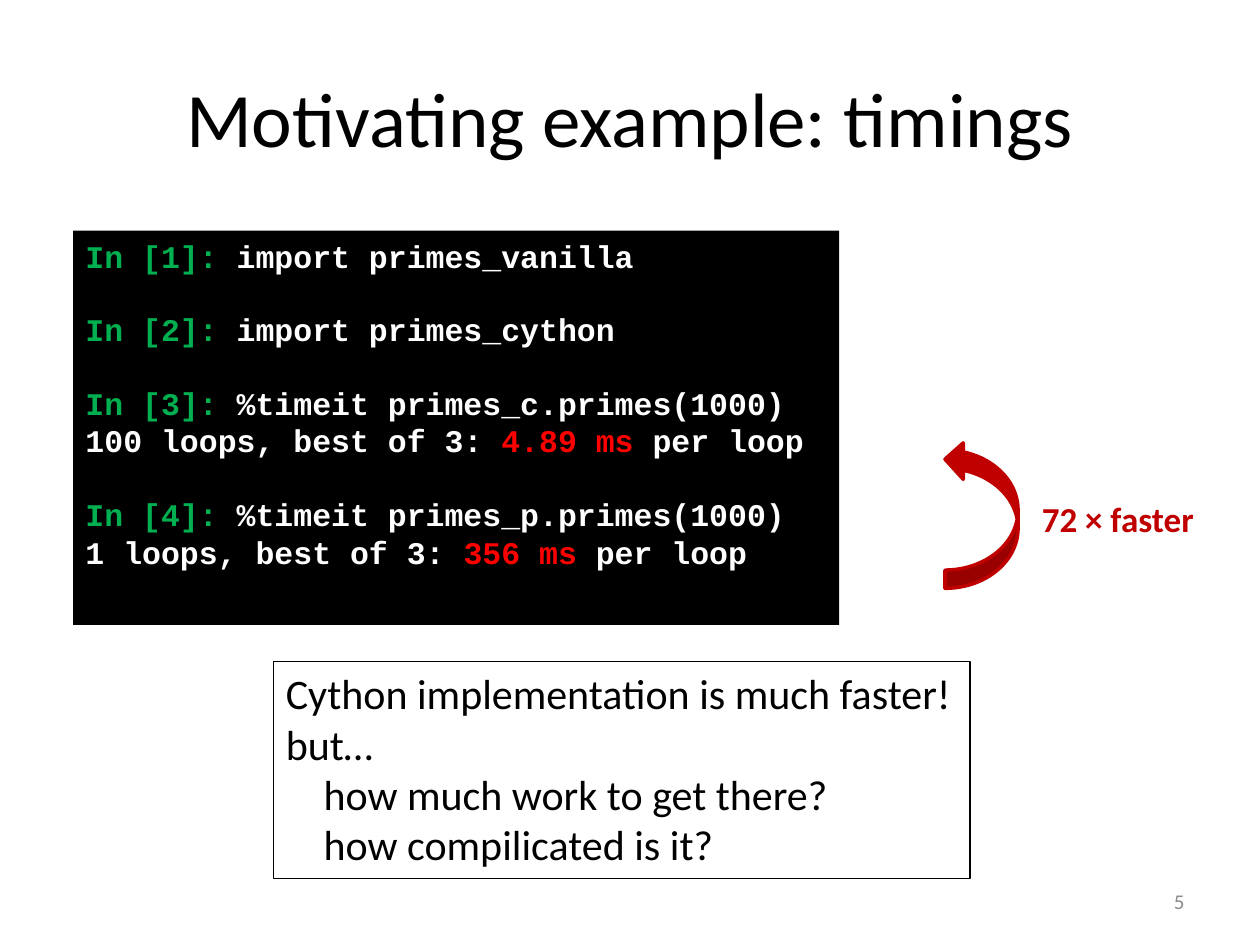
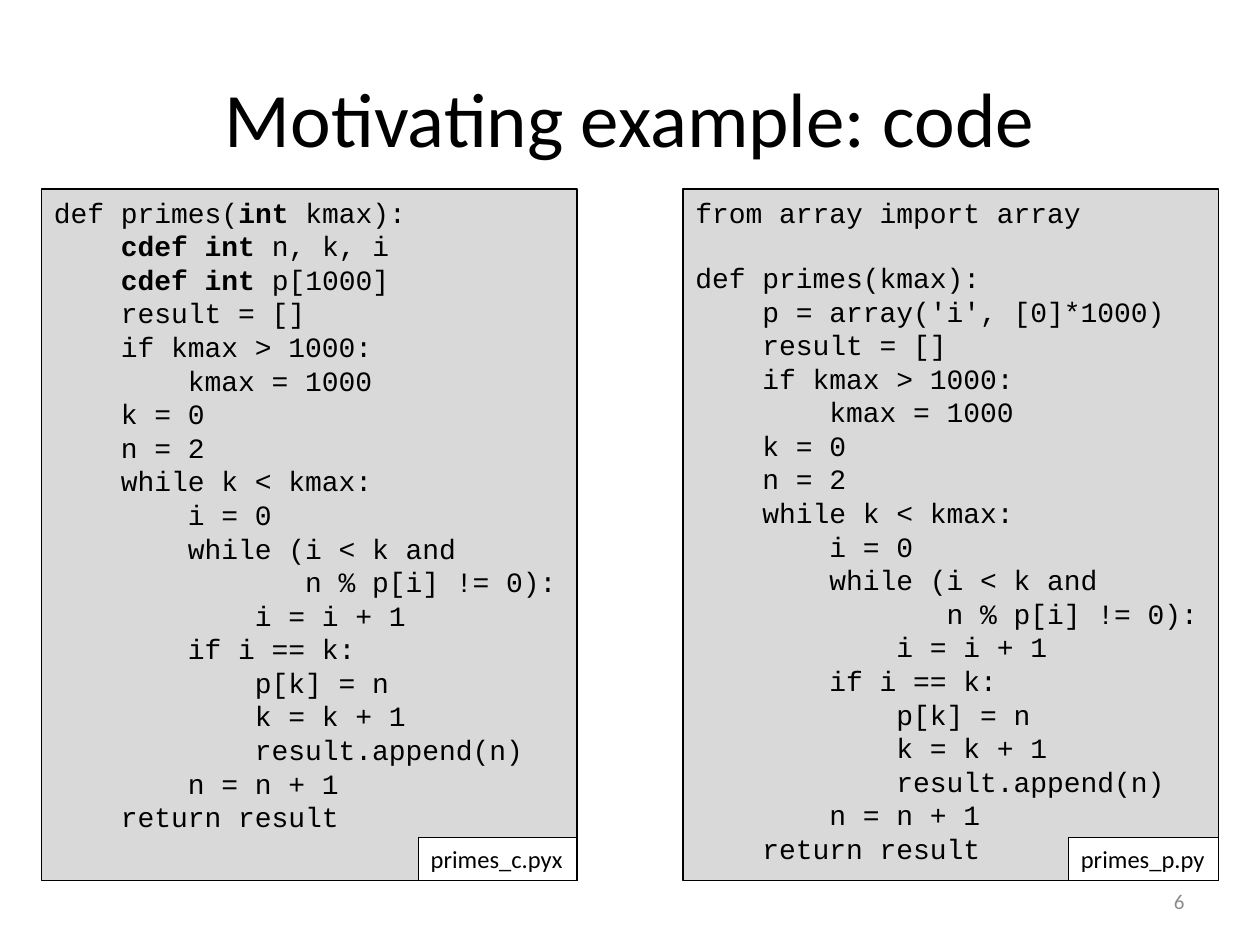
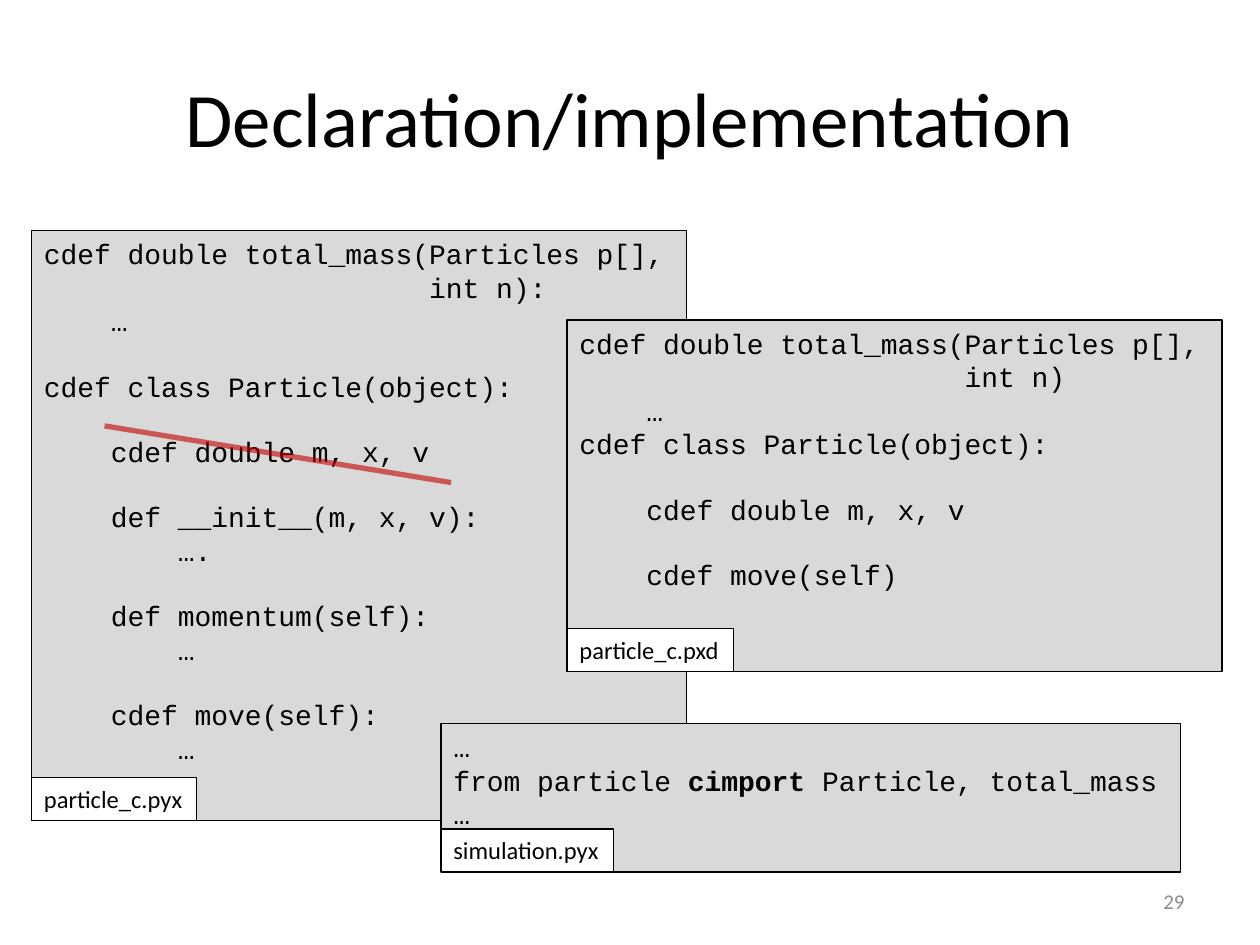
from dataclasses import dataclass
from typing import NamedTuple, Optional

from lxml import etree
from pptx import Presentation
from pptx.dml.color import RGBColor
from pptx.enum.shapes import MSO_CONNECTOR, MSO_SHAPE
from pptx.enum.text import MSO_ANCHOR as Anchor, PP_ALIGN as Align
from pptx.oxml.ns import qn
from pptx.util import Inches, Pt

BLACK = RGBColor(0x00, 0x00, 0x00)
WHITE = RGBColor(0xFF, 0xFF, 0xFF)
CODE_GREY = RGBColor(0xD9, 0xD9, 0xD9)
NUMBER_GREY = RGBColor(0x8C, 0x8C, 0x8C)
PROMPT_GREEN = RGBColor(0x00, 0xB0, 0x50)
TIMING_RED = RGBColor(0xFF, 0x00, 0x00)
DARK_RED = RGBColor(0xC0, 0x00, 0x00)

SANS = "Calibri"
MONO = "Courier New"
MONO_LINE = 1.133  # line height of the code font, in ems
TAB_HEIGHT = 0.34


class Box(NamedTuple):
    left: float
    top: float
    width: float
    height: float


class Style(NamedTuple):
    size: float
    font: str = SANS
    color: RGBColor = BLACK
    bold: bool = False
    align: Align = Align.LEFT
    anchor: Anchor = Anchor.TOP


class Run(NamedTuple):
    text: str
    color: Optional[RGBColor] = None
    bold: bool = False


@dataclass
class CodePanel:
    box: Box
    code: str
    file_name: str
    tab_width: float
    tab_on_right: bool = False


TITLE = Style(44, align=Align.CENTER, anchor=Anchor.MIDDLE)
NUMBER = Style(12, color=NUMBER_GREY, align=Align.RIGHT, anchor=Anchor.MIDDLE)
CODE = Style(16, MONO)
CONSOLE = Style(18, MONO, WHITE, bold=True)
FILE_TAB = Style(14)
CONCLUSION = Style(24)
SPEEDUP = Style(20, color=DARK_RED, bold=True)

CONSOLE_LINES = [
    [Run("In [1]:", PROMPT_GREEN), Run(" import primes_vanilla")],
    [],
    [Run("In [2]:", PROMPT_GREEN), Run(" import primes_cython")],
    [],
    [Run("In [3]:", PROMPT_GREEN), Run(" %timeit primes_c.primes(1000)")],
    [Run("100 loops, best of 3: "), Run("4.89 ms", TIMING_RED), Run(" per loop")],
    [],
    [Run("In [4]:", PROMPT_GREEN), Run(" %timeit primes_p.primes(1000)")],
    [Run("1 loops, best of 3: "), Run("356 ms", TIMING_RED), Run(" per loop")],
]

PRIMES_BODY = """\
    result = []
    if kmax > 1000:
        kmax = 1000
    k = 0
    n = 2
    while k < kmax:
        i = 0
        while (i < k and
               n % p[i] != 0):
            i = i + 1
        if i == k:
            p[k] = n
            k = k + 1
            result.append(n)
        n = n + 1
    return result"""

PRIMES_CYTHON = """\
def primes(**int **kmax):
    **cdef int** n, k, i
    **cdef int** p[1000]
""" + PRIMES_BODY

PRIMES_PYTHON = """\
from array import array

def primes(kmax):
    p = array('i', [0]*1000)
""" + PRIMES_BODY

PARTICLE_IMPLEMENTATION = """\
cdef double total_mass(Particles p[],
                       int n):
    …

cdef class Particle(object):

    cdef double m, x, v

    def __init__(m, x, v):
        ….

    def momentum(self):
        …

    cdef move(self):
        …"""

PARTICLE_DECLARATION = """\
cdef double total_mass(Particles p[],
                       int n)
    …
cdef class Particle(object):

    cdef double m, x, v

    cdef move(self)"""

SIMULATION = """\
…
from particle **cimport** Particle, total_mass
…"""


def code_lines(code: str) -> list[list[Run]]:
    """Split code into runs; text between double asterisks is bold."""
    return [[Run(text, bold=i % 2 == 1)
             for i, text in enumerate(line.split("**")) if text]
            for line in code.split("\n")]


def add_text(shapes, box: Box, lines: list[list[Run]], style: Style,
             fill: Optional[RGBColor] = None, outlined: bool = False):
    """Add a text box; an empty line becomes space before the next one."""
    sp = shapes.add_textbox(*map(Inches, box))
    if fill is not None:
        sp.fill.solid()
        sp.fill.fore_color.rgb = fill
    if outlined:
        sp.line.color.rgb = BLACK
        sp.line.width = Pt(0.75)
    tf = sp.text_frame
    tf.word_wrap = True
    tf.vertical_anchor = style.anchor
    if style.align == Align.LEFT:
        tf.margin_right = 0
    gap = 0.0
    for i, line in enumerate(lines):
        if not line:
            gap += style.size * MONO_LINE
            continue
        p = tf.add_paragraph() if i else tf.paragraphs[0]
        p.alignment = style.align
        if gap:
            p.space_before = Pt(gap)
            gap = 0.0
        for run in line:
            r = p.add_run()
            r.text = run.text
            r.font.name = style.font
            r.font.size = Pt(style.size)
            r.font.bold = style.bold or run.bold
            r.font.color.rgb = run.color or style.color
    return sp


def add_code_panel(slide, panel: CodePanel) -> None:
    """Add a code box with its file name in a bottom corner."""
    box = panel.box
    shapes = slide.shapes.add_group_shape().shapes
    add_text(shapes, box, code_lines(panel.code), CODE, CODE_GREY, outlined=True)
    shift = box.width - panel.tab_width if panel.tab_on_right else 0
    tab = Box(box.left + shift, box.top + box.height - TAB_HEIGHT,
              panel.tab_width, TAB_HEIGHT)
    add_text(shapes, tab, [[Run(panel.file_name)]], FILE_TAB, WHITE, outlined=True)


def add_slide(prs, title: str, number: int):
    slide = prs.slides.add_slide(prs.slide_layouts[6])
    add_text(slide.shapes, Box(0.5, 0.3, 9, 1.25), [[Run(title)]], TITLE)
    add_text(slide.shapes, Box(7.17, 6.95, 2.33, 0.4), [[Run(str(number))]], NUMBER)
    return slide


def add_speedup(slide) -> None:
    shapes = slide.shapes.add_group_shape().shapes
    arrow = shapes.add_shape(MSO_SHAPE.CURVED_LEFT_ARROW,
                             *map(Inches, Box(7.5, 3.5, 0.58, 1.17)))
    arrow.shadow.inherit = False
    arrow.fill.solid()
    arrow.fill.fore_color.rgb = DARK_RED
    arrow.line.color.rgb = DARK_RED
    arrow.line.width = Pt(2)
    arrow._element.spPr.find(qn("a:xfrm")).set("flipV", "1")
    add_text(shapes, Box(8.17, 3.9, 1.43, 0.44), [[Run("72 × faster")]], SPEEDUP)


def add_strike(slide) -> None:
    """Cross out the declaration with a translucent line."""
    line = slide.shapes.add_connector(
        MSO_CONNECTOR.STRAIGHT, *map(Inches, (0.83, 3.38, 3.58, 3.83)))
    line.line.color.rgb = DARK_RED
    line.line.width = Pt(3)
    sp_pr = line._element.spPr
    color = sp_pr.find(".//" + qn("a:srgbClr"))
    etree.SubElement(color, qn("a:alpha")).set("val", "60000")
    etree.SubElement(sp_pr, qn("a:effectLst"))


def build_timings(prs) -> None:
    slide = add_slide(prs, "Motivating example: timings", 5)
    add_text(slide.shapes, Box(0.58, 1.83, 6.08, 3.13), CONSOLE_LINES, CONSOLE, BLACK)
    add_speedup(slide)
    remarks = ["Cython implementation is much faster!", "but…",
               "how much work to get there?", "how compilicated is it?"]
    sp = add_text(slide.shapes, Box(2.17, 5.25, 5.53, 1.72),
                  [[Run(text)] for text in remarks], CONCLUSION, outlined=True)
    for p in sp.text_frame.paragraphs[2:]:
        p._p.get_or_add_pPr().set("marL", str(Inches(0.3)))


def build_code(prs) -> None:
    slide = add_slide(prs, "Motivating example: code", 6)
    for panel in (
        CodePanel(Box(0.33, 1.5, 4.25, 5.49), PRIMES_CYTHON, "primes_c.pyx", 1.26, True),
        CodePanel(Box(5.42, 1.5, 4.25, 5.49), PRIMES_PYTHON, "primes_p.py", 1.19, True),
    ):
        add_code_panel(slide, panel)


def build_declaration(prs) -> None:
    slide = add_slide(prs, "Declaration/implementation", 29)
    for panel in (
        CodePanel(Box(0.25, 1.83, 5.2, 4.68), PARTICLE_IMPLEMENTATION,
                  "particle_c.pyx", 1.31),
        CodePanel(Box(4.5, 2.54, 5.2, 2.79), PARTICLE_DECLARATION,
                  "particle_c.pxd", 1.32),
        CodePanel(Box(3.5, 5.74, 5.87, 1.18), SIMULATION, "simulation.pyx", 1.37),
    ):
        add_code_panel(slide, panel)
    add_strike(slide)


def main() -> None:
    prs = Presentation()
    prs.slide_width, prs.slide_height = Inches(10), Inches(7.5)
    build_timings(prs)
    build_code(prs)
    build_declaration(prs)
    prs.save("out.pptx")


if __name__ == "__main__":
    main()
